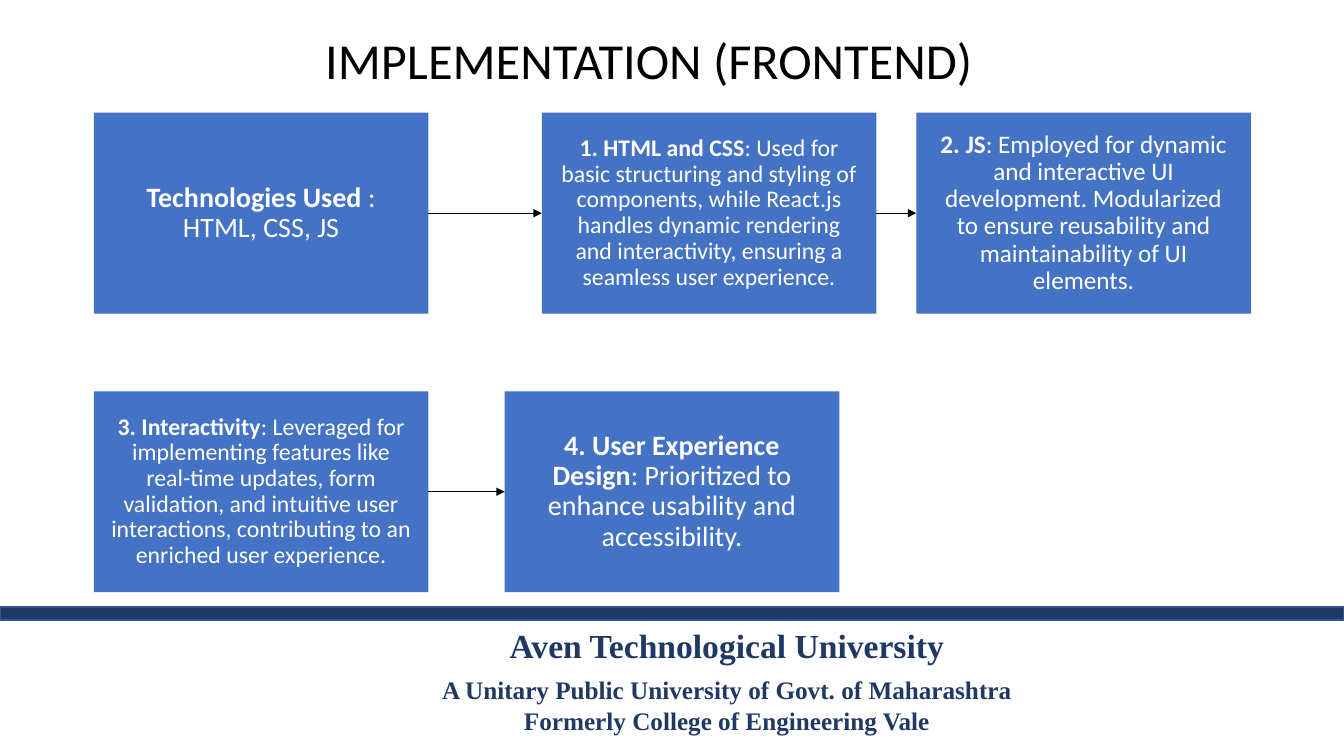
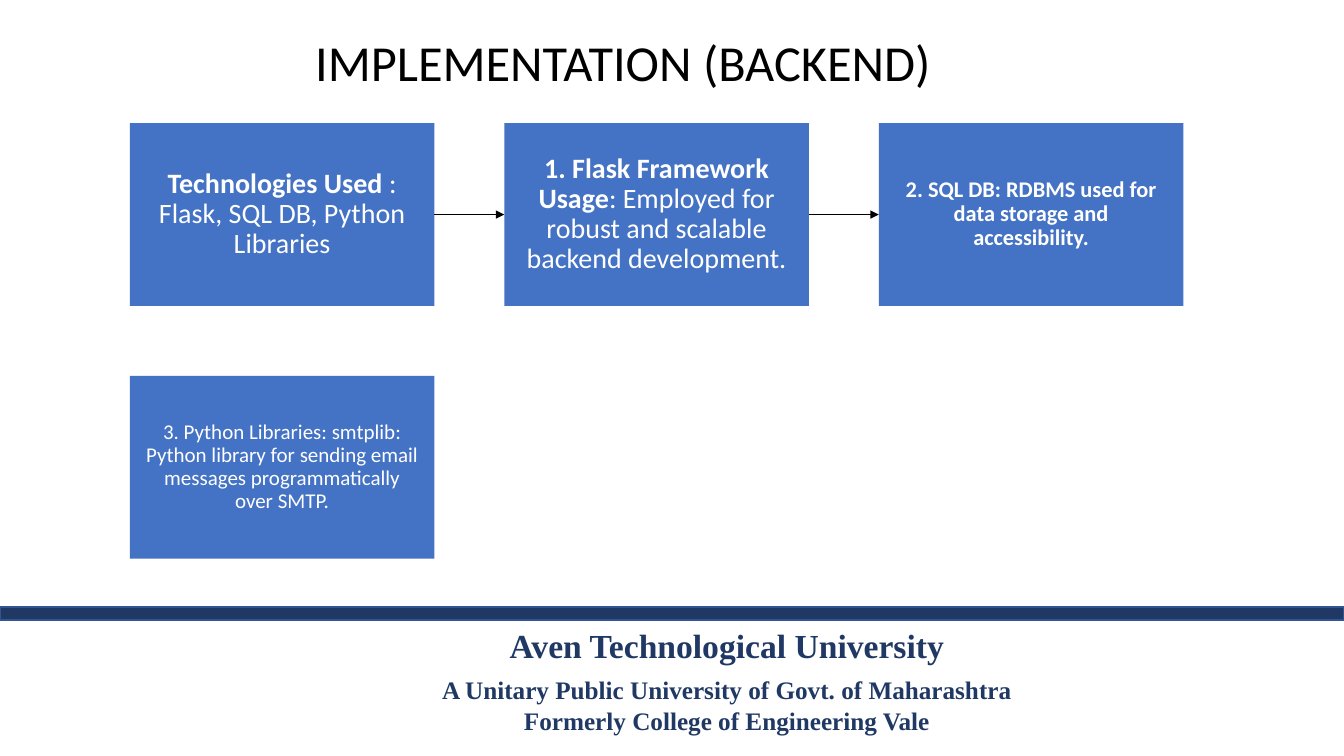
from lxml.etree import SubElement
from pptx import Presentation
from pptx.dml.color import RGBColor
from pptx.enum.shapes import MSO_CONNECTOR as Link, MSO_SHAPE as Shape
from pptx.enum.text import MSO_ANCHOR as Anchor, PP_ALIGN as Align
from pptx.oxml.ns import qn
from pptx.util import Pt

WIDTH, HEIGHT = 960, 540
NAVY = RGBColor(0x20, 0x38, 0x64)
EDGE = RGBColor(0x32, 0x54, 0x90)
BLUE = RGBColor(0x44, 0x72, 0xC4)
WHITE = RGBColor(0xFF, 0xFF, 0xFF)
BLACK = RGBColor(0, 0, 0)
BODY, SERIF = "Calibri", "Times New Roman"
RIGHT, LEFT = 3, 1


def write(para, text, size=18, color=BLACK, font=BODY, bold=False):
    """Add a centred run to a paragraph."""
    para.alignment = Align.CENTER
    run = para.add_run()
    run.text = text
    run.font.size = Pt(size)
    run.font.name = font
    run.font.bold = bold
    run.font.color.rgb = color


class Deck:
    def __init__(self):
        self.prs = Presentation()
        self.prs.slide_width, self.prs.slide_height = Pt(WIDTH), Pt(HEIGHT)
        self.shapes = None

    def page(self, title, left, top, width):
        """Start a slide with its footer and title."""
        slide = self.prs.slides.add_slide(self.prs.slide_layouts[6])
        self.shapes = slide.shapes
        self.footer()
        frame = self.frame(left, top, width, 51)
        write(frame.paragraphs[0], title, size=36)

    def frame(self, left, top, width, height):
        box = self.shapes.add_textbox(Pt(left), Pt(top), Pt(width), Pt(height))
        box.text_frame.word_wrap = True
        return box.text_frame

    def rect(self, left, top, width, height, fill):
        shape = self.shapes.add_shape(
            Shape.RECTANGLE, Pt(left), Pt(top), Pt(width), Pt(height))
        shape.shadow.inherit = False
        shape.fill.solid()
        shape.fill.fore_color.rgb = fill
        shape.line.fill.background()
        return shape

    def footer(self):
        frame = self.frame(155, 443, 728.5, 86)
        lines = (
            ("Aven Technological University", 24, 0),
            ("A Unitary Public University of Govt. of Maharashtra", 18, 6.5),
            ("Formerly College of Engineering Vale", 18, 0.5),
        )
        for i, (text, size, gap) in enumerate(lines):
            para = frame.add_paragraph() if i else frame.paragraphs[0]
            para.space_before = Pt(gap)
            write(para, text, size=size, color=NAVY, font=SERIF, bold=True)
        band = self.rect(0, 433.5, WIDTH, 9.5, NAVY)
        band.line.color.rgb = EDGE
        band.line.width = Pt(1)

    def card(self, left, top, width, height, head, text, size):
        """Draw a blue box with a bold head and plain text after it."""
        shape = self.rect(left, top, width, height, BLUE)
        frame = shape.text_frame
        frame.word_wrap = True
        frame.vertical_anchor = Anchor.MIDDLE
        frame.margin_left = frame.margin_right = Pt(11)
        frame.margin_top = frame.margin_bottom = Pt(12)
        para = frame.paragraphs[0]
        para.line_spacing = 0.9
        for part, bold in ((head, True), (text, False)):
            if part:
                write(para, part, size=size, color=WHITE, bold=bold)
        return shape

    def arrow(self, start, end):
        line = self.shapes.add_connector(Link.STRAIGHT, 0, 0, 0, 0)
        line.begin_connect(start, RIGHT)
        line.end_connect(end, LEFT)
        line.line.color.rgb = BLACK
        line.line.width = Pt(0.5)
        SubElement(line.line._get_or_add_ln(), qn("a:tailEnd"), type="triangle")
        SubElement(line._element.spPr, qn("a:effectLst"))

    def flow(self, top, lefts, width, height, items):
        """Draw a row of cards joined by arrows."""
        cards = [self.card(left, top, width, height, *item)
                 for left, item in zip(lefts, items)]
        for start, end in zip(cards, cards[1:]):
            self.arrow(start, end)


FRONT = (
    ("Technologies Used ", ": HTML, CSS, JS", 20),
    ("1. HTML and CSS",
     ": Used for basic structuring and styling of components, while React.js "
     "handles dynamic rendering and interactivity, ensuring a seamless user "
     "experience.", 17),
    ("2. JS",
     ": Employed for dynamic and interactive UI development. Modularized to "
     "ensure reusability and maintainability of UI elements.", 18),
)
USE = (
    ("3. Interactivity",
     ": Leveraged for implementing features like real-time updates, form "
     "validation, and intuitive user interactions, contributing to an "
     "enriched user experience.", 17),
    ("4. User Experience Design",
     ": Prioritized to enhance usability and accessibility.", 20),
)
BACK = (
    ("Technologies Used ", ": Flask, SQL DB, Python Libraries", 20),
    ("1. Flask Framework Usage",
     ": Employed for robust and scalable backend development.", 20),
    ("2. SQL DB: RDBMS used for data storage and accessibility.", "", 16),
)
LIBS = (
    ("", "3. Python Libraries: smtplib: Python library for sending email "
     "messages programmatically over SMTP.", 15),
)


def main():
    deck = Deck()

    deck.page("IMPLEMENTATION (FRONTEND)", 86.5, 17.5, 754)
    size = 239, 143.5
    deck.flow(80.5, (67, 387, 654.5), *size, FRONT)
    deck.flow(279.5, (67, 360.5), *size, USE)

    deck.page("IMPLEMENTATION (BACKEND)", 97, 19, 696)
    size = 217.5, 130.5
    lefts = [92.75 + 267.5 * i for i in range(3)]
    deck.flow(88, lefts, *size, BACK)
    deck.flow(268.5, lefts, *size, LIBS)

    deck.prs.save("out.pptx")


if __name__ == "__main__":
    main()
